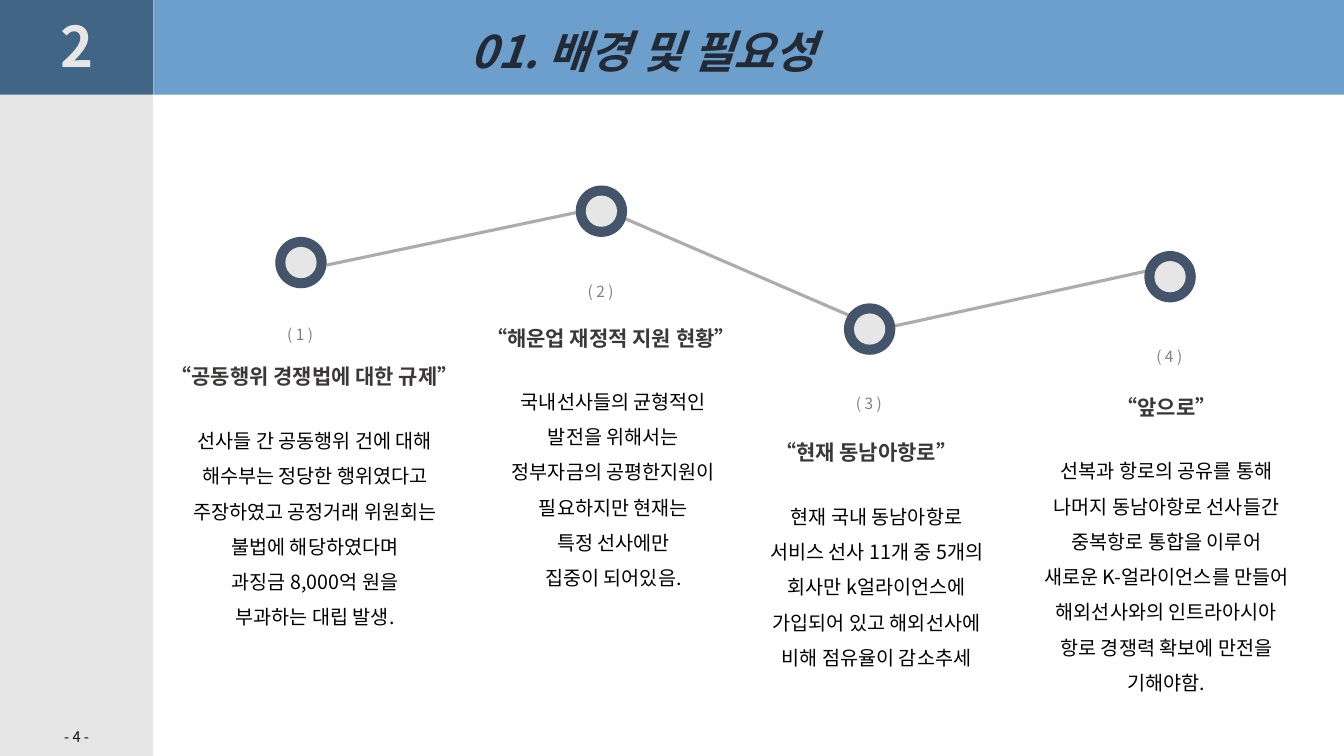
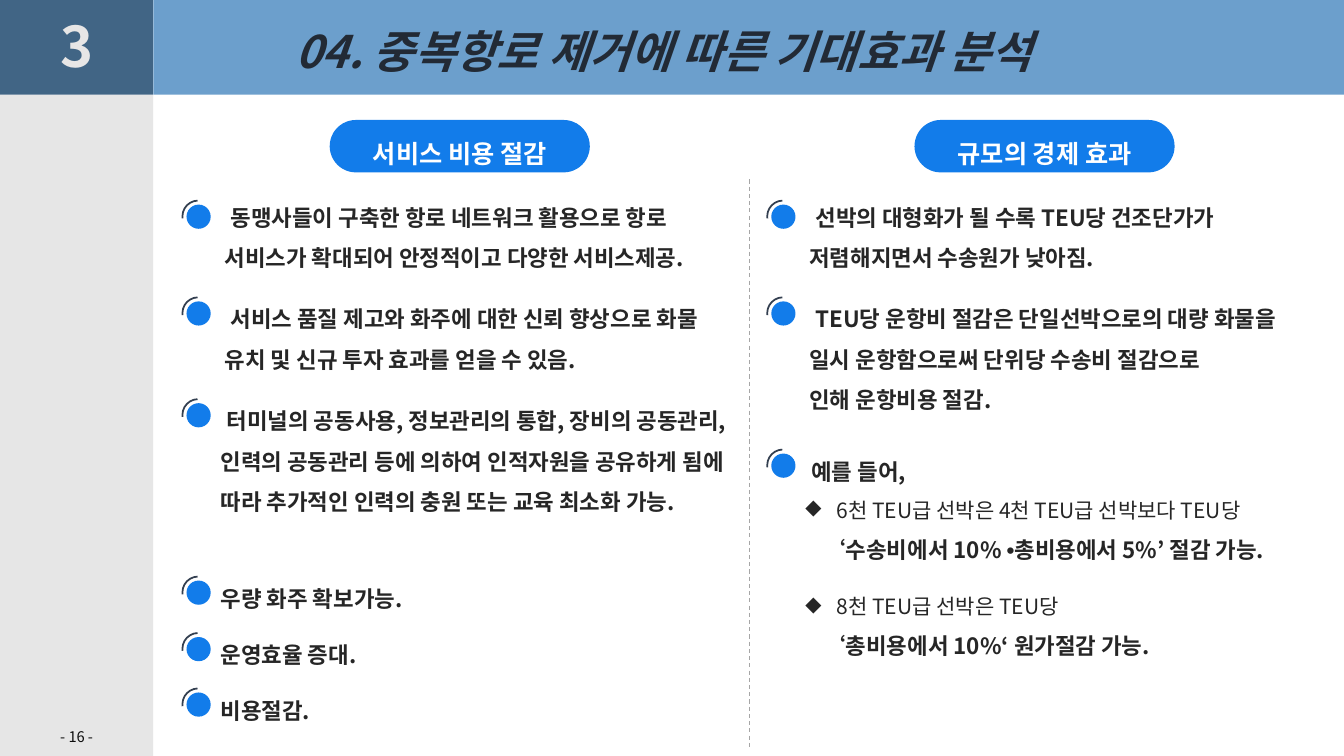
from dataclasses import dataclass, replace

from pptx import Presentation
from pptx.dml.color import RGBColor
from pptx.enum.dml import MSO_LINE
from pptx.enum.shapes import MSO_CONNECTOR, MSO_SHAPE
from pptx.enum.text import MSO_ANCHOR, PP_ALIGN
from pptx.oxml.xmlchemy import OxmlElement
from pptx.util import Emu, Pt

RECT, PILL = MSO_SHAPE.RECTANGLE, MSO_SHAPE.ROUNDED_RECTANGLE
OVAL, ARC = MSO_SHAPE.OVAL, MSO_SHAPE.ARC
STRAIGHT = MSO_CONNECTOR.STRAIGHT
DASH = MSO_LINE.DASH
MIDDLE = MSO_ANCHOR.MIDDLE
LEFT, CENTER = PP_ALIGN.LEFT, PP_ALIGN.CENTER

EMU_PER_PX = 9144  # 100 px to the inch
SLIDE_W, SLIDE_H = 1333, 750
SIDEBAR_W, HEADER_H = 152, 94


def px(length):
    return Emu(length * EMU_PER_PX)


@dataclass(frozen=True)
class TextStyle:
    size: float
    color: str
    bold: bool = False
    italic: bool = False
    align: int = LEFT
    spacing: float = 1.0


@dataclass(frozen=True)
class Paragraph:
    """Runs are strings, or (string, font name) pairs; margin and indent are px."""
    runs: tuple
    style: TextStyle
    margin: int = 0
    indent: int = 0
    before: int = 0
    bullet: str = ""


class Theme:
    font = "Noto Sans CJK KR"
    symbol_font = "Arial"
    sidebar, number_band, title_band = "E6E6E6", "416585", "6C9FCC"
    node_ring, node_core, path_line = "44546A", "E7E6E6", "AFABAB"
    accent, marker_arc, divider = "127CEA", "333F50", "A6A6A6"
    title = TextStyle(32, "222A35", bold=True, italic=True)
    section = TextStyle(40, "E7E6E6", bold=True, align=CENTER)
    page = TextStyle(10.5, "0D0D0D", align=CENTER)
    step = TextStyle(11, "808080")
    heading = TextStyle(15, "3B3838", bold=True, align=CENTER)
    body = TextStyle(14, "000000", align=CENTER, spacing=1.5)
    pill = TextStyle(18, "FFFFFF", bold=True, align=CENTER, spacing=1.5)
    point = TextStyle(16, "262626", bold=True, spacing=1.5)
    detail = replace(point, size=15, bold=False)


class Deck:
    """Holds the theme, the presentation and the slide being filled."""

    def __init__(self, theme):
        self.theme = theme
        self.prs = Presentation()
        self.prs.slide_width, self.prs.slide_height = px(SLIDE_W), px(SLIDE_H)
        self.shapes = None

    def start_slide(self, section, title, title_left, title_width, page):
        theme = self.theme
        self.shapes = self.prs.slides.add_slide(self.prs.slide_layouts[6]).shapes
        self.shape(RECT, 0, HEADER_H, SIDEBAR_W, SLIDE_H - HEADER_H, theme.sidebar)
        self.shape(RECT, 0, 0, SIDEBAR_W, HEADER_H, theme.number_band)
        self.shape(RECT, SIDEBAR_W, 0, SLIDE_W - SIDEBAR_W, HEADER_H, theme.title_band)
        self.text(title_left, 19, title_width, 64, [title], theme.title)
        self.text(0, 7, SIDEBAR_W, 77, [section], theme.section)
        self.text(0, 717, SIDEBAR_W, 29, [page], theme.page)

    def shape(self, kind, left, top, width, height, fill=None):
        shape = self.shapes.add_shape(kind, px(left), px(top), px(width), px(height))
        shape.shadow.inherit = False
        shape.line.fill.background()
        if fill:
            shape.fill.solid()
            shape.fill.fore_color.rgb = RGBColor.from_string(fill)
        else:
            shape.fill.background()
        return shape

    def line(self, start, end, color, width, dash=None):
        line = self.shapes.add_connector(STRAIGHT, *map(px, start + end))
        line.line.color.rgb = RGBColor.from_string(color)
        line.line.width = Pt(width)
        if dash:
            line.line.dash_style = dash
        line._element.spPr.append(OxmlElement("a:effectLst"))

    def text(self, left, top, width, height, paragraphs, style):
        box = self.shapes.add_textbox(px(left), px(top), px(width), px(height))
        self.fill_frame(box.text_frame, paragraphs, style)

    def fill_frame(self, frame, paragraphs, style):
        """Fill a frame; plain strings become paragraphs in the given style."""
        frame.word_wrap = True
        for index, item in enumerate(paragraphs):
            target = frame.add_paragraph() if index else frame.paragraphs[0]
            spec = item if isinstance(item, Paragraph) else Paragraph((item,), style)
            self.style_paragraph(target, spec)
            for part in spec.runs:
                run = target.add_run()
                if isinstance(part, tuple):
                    run.text, run.font.name = part
                else:
                    run.text = part

    def style_paragraph(self, target, spec):
        style, font = spec.style, target.font
        target.alignment, target.line_spacing = style.align, style.spacing
        if spec.before:
            target.space_before = Pt(spec.before)
        font.size, font.bold, font.italic = Pt(style.size), style.bold, style.italic
        font.color.rgb = RGBColor.from_string(style.color)
        font.name = self.theme.font
        props = target._p.get_or_add_pPr()
        east_asian = OxmlElement("a:ea")
        east_asian.set("typeface", self.theme.font)
        props.find(".//{*}latin").addnext(east_asian)
        if spec.margin or spec.indent:
            props.set("marL", str(px(spec.margin)))
            props.set("indent", str(px(spec.indent)))
        if spec.bullet:
            bullet = OxmlElement("a:buChar")
            bullet.set("char", spec.bullet)
            props.insert_element_before(bullet, "a:tabLst", "a:defRPr")

    def node(self, left, top):
        self.shape(OVAL, left, top, 51, 51, self.theme.node_ring)
        self.shape(OVAL, left + 10, top + 10, 31, 31, self.theme.node_core)

    def pill(self, left, top, label):
        pill = self.shape(PILL, left, top, 258, 52, self.theme.accent)
        pill.adjustments[0] = 0.5
        pill.text_frame.vertical_anchor = MIDDLE
        self.fill_frame(pill.text_frame, [label], self.theme.pill)

    def marker(self, left, top):
        self.shape(OVAL, left, top, 24, 24, self.theme.accent)
        arc = self.shape(ARC, left - 4, top - 4, 31, 31)
        arc.adjustments[0], arc.adjustments[1] = 103.3, 160.8
        arc.line.color.rgb = RGBColor.from_string(self.theme.marker_arc)
        arc.line.width = Pt(1.25)


def background_slide(deck):
    theme = deck.theme
    deck.start_slide("2", "01. 배경 및 필요성", 457, 420, "- 4 -")
    for start, end in [((604, 210), (861, 321)), ((866, 328), (1146, 267)),
                       ((324, 263), (571, 211))]:
        deck.line(start, end, theme.path_line, 2.25)

    # node corner, step top, heading (centre, top, text), body (left, top, width, lines)
    steps = [
        ((273, 235), 318, (312, 356, "“공동행위 경쟁법에 대한 규제”"),
         (171, 409, 283, ["선사들 간 공동행위 건에 대해",
                          "해수부는 정당한 행위였다고 주장하였고 공정거래 위원회는 불법에 해당하였다며",
                          "과징금 8,000억 원을", "부과하는 대립 발생."])),
        ((571, 184), 275, (606, 318, "“해운업 재정적 지원 현황”"),
         (486, 370, 245, ["국내선사들의 균형적인 발전을 위해서는", "정부자금의 공평한지원이",
                          "필요하지만 현재는", "특정 선사에만", "집중이 되어있음."])),
        ((837, 301), 386, (859, 431, "“현재 동남아항로”"),
         (741, 484, 257, ["현재 국내 동남아항로",
                          "서비스 선사 11개 중 5개의 회사만 k얼라이언스에",
                          "가입되어 있고 해외선사에 비해 점유율이 감소추세"])),
        ((1135, 249), 339, (1157, 386, "“앞으로”"),
         (1011, 439, 292, ["선복과 항로의 공유를 통해",
                           "나머지 동남아항로 선사들간 중복항로 통합을 이루어",
                           "새로운 K-얼라이언스를 만들어 해외선사와의 인트라아시아",
                           "항로 경쟁력 확보에 만전을", "기해야함."])),
    ]
    heading_w = 322
    for number, (corner, step_top, heading, body) in enumerate(steps, 1):
        deck.node(*corner)
        deck.text(corner[0] + 2, step_top, 49, 29, [f"( {number} )"], theme.step)
        center, top, label = heading
        deck.text(center - heading_w // 2, top, heading_w, 35, [label], theme.heading)
        left, top, width, lines = body
        deck.text(left, top, width, 35 * len(lines), lines, theme.body)


def effects_slide(deck):
    theme = deck.theme
    deck.start_slide("3", "04. 중복항로 제거에 따른 기대효과 분석", 283, 855, "- 16 -")

    def lead(text):
        return Paragraph((text,), theme.point, indent=6)

    def example(text, before=0):
        return Paragraph((text,), theme.detail, margin=31, indent=-31,
                         before=before, bullet="◆")

    def result(*runs):
        return Paragraph(runs, theme.point, margin=18)

    # marker top, text top, text offset from the marker, text height, paragraphs
    columns = [
        ("서비스 비용 절감", [
            (203, 184, 28, 86, [lead("동맹사들이 구축한 항로 네트워크 활용으로 항로 "
                                     "서비스가 확대되어 안정적이고 다양한 서비스제공.")]),
            (299, 285, 28, 86, [lead("서비스 품질 제고와 화주에 대한 신뢰 향상으로 화물 "
                                     "유치 및 신규 투자 효과를 얻을 수 있음.")]),
            (400, 386, 24, 166, [lead("터미널의 공동사용, 정보관리의 통합, 장비의 공동관리, "
                                      "인력의 공동관리 등에 의하여 인적자원을 공유하게 됨에 "
                                      "따라 추가적인 인력의 충원 또는 교육 최소화 가능.")]),
            (576, 562, 24, 45, ["우량 화주 확보가능."]),
            (632, 618, 24, 45, ["운영효율 증대."]),
            (687, 673, 24, 45, ["비용절감."]),
        ]),
        ("규모의 경제 효과", [
            (203, 184, 28, 86, [lead("선박의 대형화가 될 수록 TEU당 건조단가가 "
                                     "저렴해지면서 수송원가 낮아짐.")]),
            (299, 285, 28, 126, [lead("TEU당 운항비 절감은 단일선박으로의 대량 화물을 "
                                      "일시 운항함으로써 단위당 수송비 절감으로"),
                                 "인해 운항비용 절감."]),
            (450, 436, 24, 303, [
                lead("예를 들어,"),
                example("6천 TEU급 선박은 4천 TEU급 선박보다 TEU당"),
                result("‘수송비에서 10% ", ("•", theme.symbol_font),
                       "총비용에서 5%’ 절감 가능."),
                example("8천 TEU급 선박은 TEU당", before=13),
                result("‘총비용에서 10%‘ 원가절감 가능."),
            ]),
        ]),
    ]
    column_step, text_right = 580, 547
    for index, (label, points) in enumerate(columns):
        left = 185 + index * column_step
        deck.pill(left + 142, 119, label)
        for marker_top, text_top, offset, height, paragraphs in points:
            deck.marker(left, marker_top)
            deck.text(left + offset, text_top, text_right - offset, height,
                      paragraphs, theme.point)
    deck.line((743, 178), (743, 743), theme.divider, 0.75, DASH)


def main():
    deck = Deck(Theme())
    background_slide(deck)
    effects_slide(deck)
    deck.prs.save("out.pptx")


if __name__ == "__main__":
    main()
